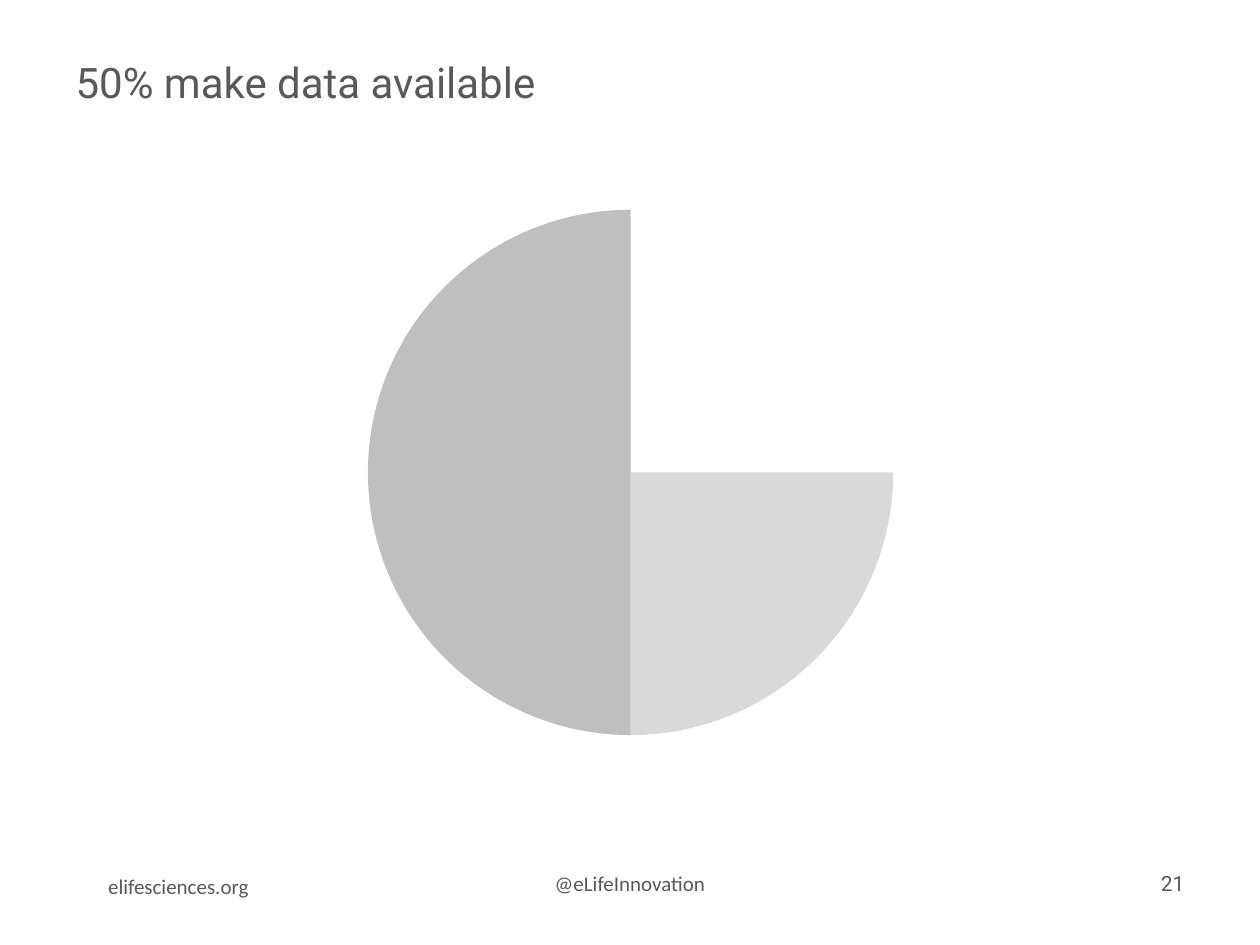
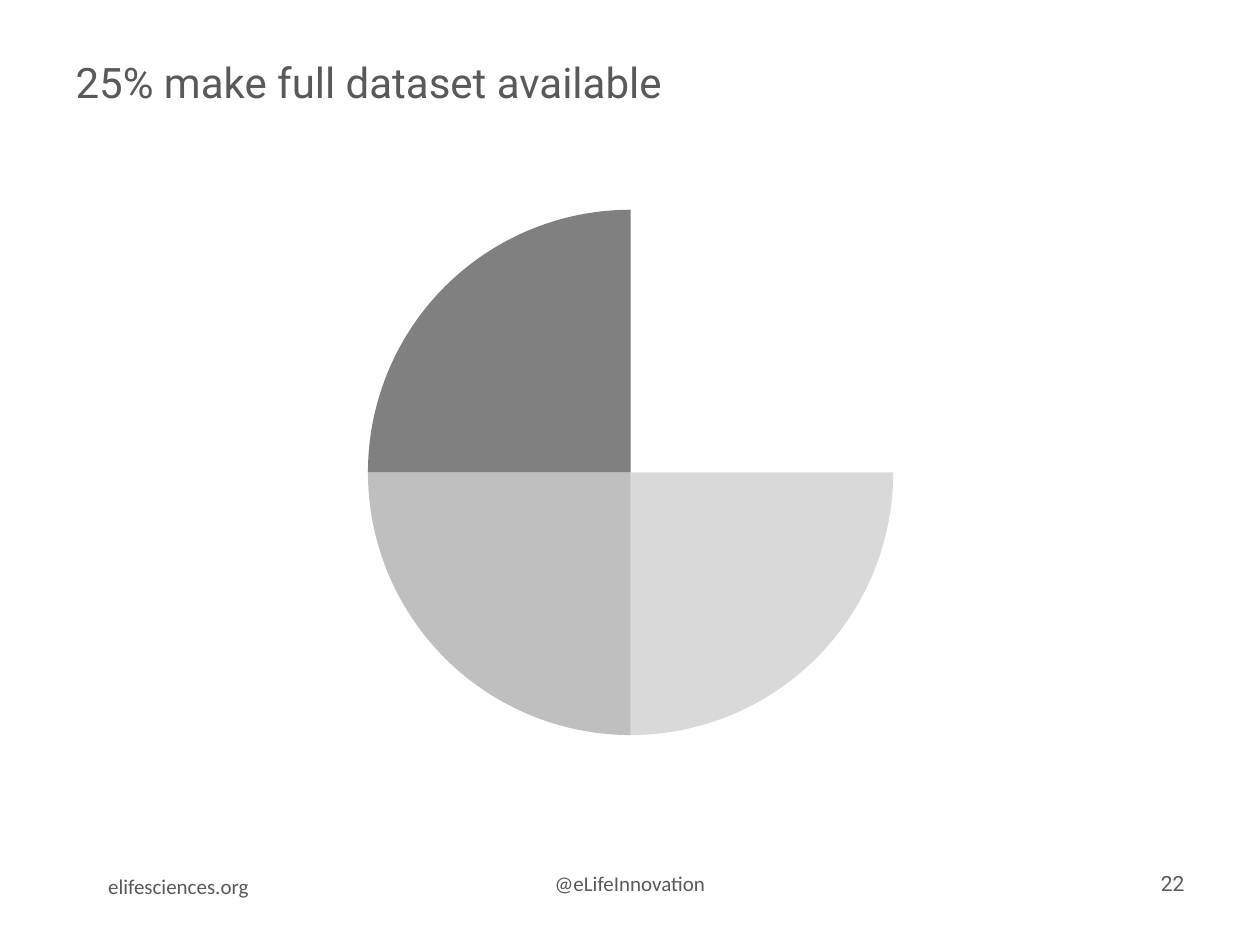
from dataclasses import dataclass

import pptx
import pptx.chart.data
import pptx.dml.color
import pptx.enum.chart
import pptx.enum.text
import pptx.oxml
import pptx.oxml.ns
import pptx.util

Inches = pptx.util.Inches
Align = pptx.enum.text.PP_ALIGN
Anchor = pptx.enum.text.MSO_ANCHOR


@dataclass(frozen=True)
class Theme:
    text: str = "595959"
    chart_text: str = "000000"
    pale: str = "D9D9D9"
    mid: str = "BFBFBF"
    dark: str = "808080"
    accent: str = "CF0C4E"
    heading_font: str = "Roboto"
    body_font: str = "Calibri"
    title_size: int = 24
    chart_size: int = 18
    footer_size: int = 12


THEME = Theme()
TITLE_ONLY = 5
PIE_BOX = (1.67, 1.53, 6.67, 4.44)
PIE_DIAMETER = 4.17


def rgb(value):
    return pptx.dml.color.RGBColor.from_string(value)


class Deck:
    def __init__(self, theme):
        self.theme = theme
        self.presentation = pptx.Presentation()
        self.presentation.slide_width = Inches(10)
        self.presentation.slide_height = Inches(7.5)
        self.slide = None

    def style(self, font, name, size, color):
        font.name = name
        font.size = pptx.util.Pt(size)
        font.color.rgb = rgb(color)

    def fill_text(self, frame, text, name, size, align, anchor):
        frame.word_wrap = True
        frame.auto_size = pptx.enum.text.MSO_AUTO_SIZE.NONE
        frame.vertical_anchor = anchor
        frame.text = text
        paragraph = frame.paragraphs[0]
        paragraph.alignment = align
        self.style(paragraph.font, name, size, self.theme.text)

    def start_slide(self, heading, number):
        layout = self.presentation.slide_layouts[TITLE_ONLY]
        self.slide = self.presentation.slides.add_slide(layout)
        self.title(heading)
        self.footer("@eLifeInnovation", (0.5, 6.81, 9, 0.4), Align.CENTER)
        self.footer(str(number), (7.17, 6.81, 2.33, 0.4), Align.RIGHT,
                    self.theme.heading_font)
        self.footer("elifesciences.org", (0.76, 6.83, 4.16, 0.4), Align.LEFT)

    def title(self, heading):
        title = self.slide.shapes.title
        title.left, title.top = Inches(0.5), Inches(0.4)
        title.width, title.height = Inches(9), Inches(0.61)
        self.fill_text(title.text_frame, heading, self.theme.heading_font,
                       self.theme.title_size, Align.LEFT, Anchor.TOP)

    def footer(self, text, box, align, font_name=None):
        footer = self.slide.shapes.add_textbox(*map(Inches, box))
        self.fill_text(footer.text_frame, text,
                       font_name or self.theme.body_font,
                       self.theme.footer_size, align, Anchor.MIDDLE)

    def pie(self, shares, colors):
        data = pptx.chart.data.CategoryChartData()
        data.categories = [str(i + 1) for i in range(len(shares))]
        data.add_series("Series 1", shares)
        chart = self.slide.shapes.add_chart(
            pptx.enum.chart.XL_CHART_TYPE.PIE, *map(Inches, PIE_BOX), data
        ).chart
        chart.has_title = False
        chart.has_legend = False
        self.style(chart.font, self.theme.body_font, self.theme.chart_size,
                   self.theme.chart_text)
        plot = chart.plots[0]
        plot.vary_by_categories = True
        for index, color in enumerate(colors):
            sector = plot.series[0].points[index].format
            sector.line.fill.background()
            if color is None:
                sector.fill.background()
            else:
                sector.fill.solid()
                sector.fill.fore_color.rgb = rgb(color)
        self.center_pie(chart)

    def center_pie(self, chart):
        width = PIE_DIAMETER / PIE_BOX[2]
        height = PIE_DIAMETER / PIE_BOX[3]
        settings = (
            ("layoutTarget", "inner"), ("xMode", "edge"), ("yMode", "edge"),
            ("x", (1 - width) / 2), ("y", (1 - height) / 2),
            ("w", width), ("h", height),
        )
        fields = "".join(f'<c:{tag} val="{value}"/>' for tag, value in settings)
        namespace = pptx.oxml.ns.nsdecls("c")
        layout = pptx.oxml.parse_xml(
            f"<c:layout {namespace}><c:manualLayout>{fields}"
            "</c:manualLayout></c:layout>"
        )
        plot_area = chart.element.find(".//" + pptx.oxml.ns.qn("c:plotArea"))
        for automatic in plot_area.findall(pptx.oxml.ns.qn("c:layout")):
            plot_area.remove(automatic)
        plot_area.insert(0, layout)


def main():
    deck = Deck(THEME)
    findings = (
        ("50% make data available", (25, 25, 50, None), THEME.accent),
        ("25% make full dataset available", (25, 25, 25, 25), THEME.dark),
    )
    for number, (heading, shares, last_color) in enumerate(findings, start=21):
        deck.start_slide(heading, number)
        deck.pie(shares, (None, THEME.pale, THEME.mid, last_color))
    deck.presentation.save("out.pptx")


if __name__ == "__main__":
    main()
